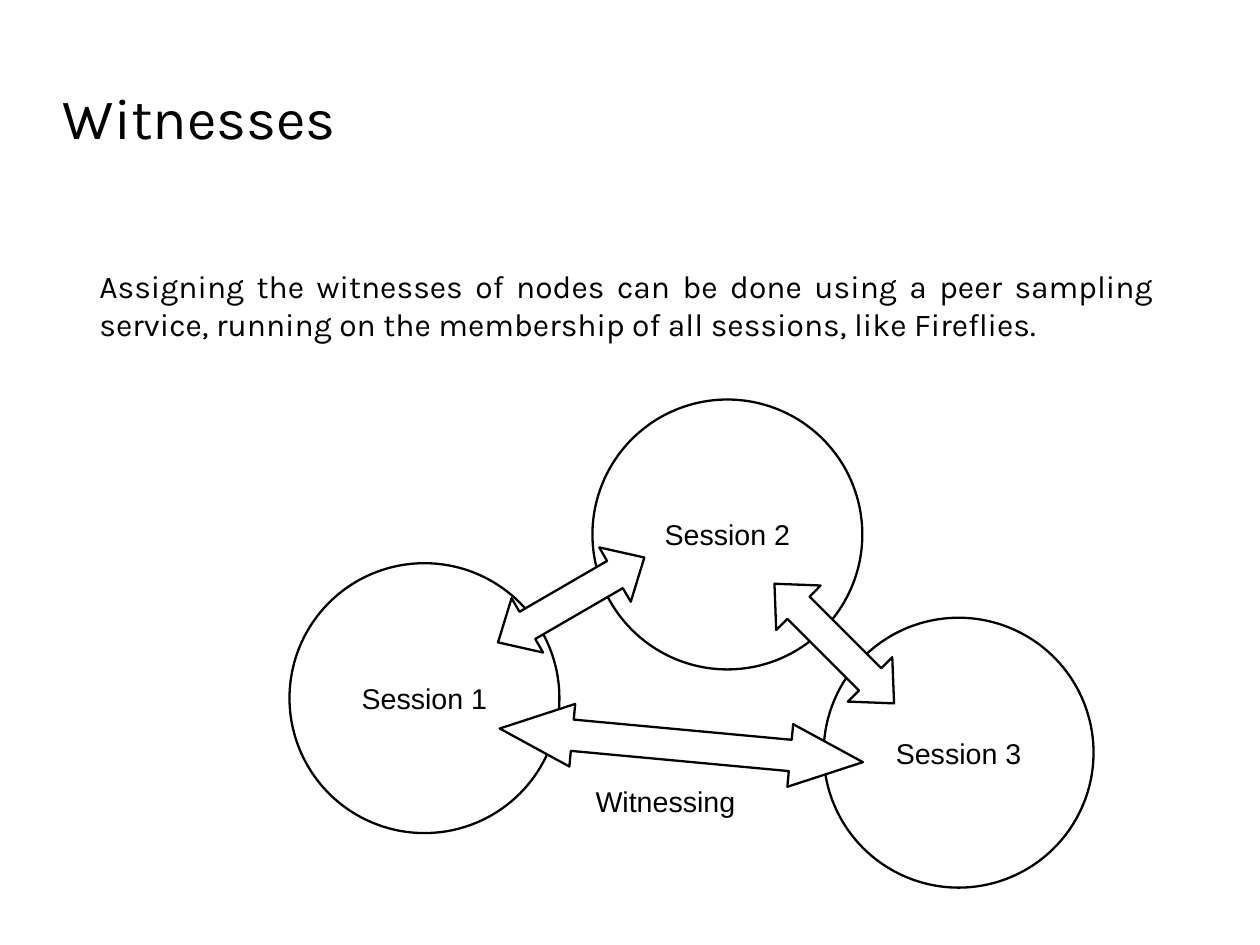
"""Build a slide on witnesses shared between three sessions."""
from pptx import Presentation
from pptx.dml.color import RGBColor
from pptx.enum.shapes import MSO_SHAPE
from pptx.enum.text import MSO_ANCHOR, PP_ALIGN
from pptx.util import Cm, Inches, Pt

WIDTH, HEIGHT = Cm(28), Cm(21)
BLACK, WHITE = "000000", "FFFFFF"
CIRCLE_SIZE = (21.42, 28.56)
ARROW_HEIGHT = 6.65
SESSIONS = [("Session 1", 22.98, 59.6), ("Session 2", 47.02, 42.28), ("Session 3", 65.37, 65.37)]
ARROWS = [
    (38.62, 60.16, 13.43, 329.9, 0.54),
    (39.6, 75.55, 28.95, 5.3, 1.16),
    (59.5, 64.78, 13.43, 45, 0.54),
]


def color(value):
    """Turn a hex string into a colour."""
    return RGBColor.from_string(value)


def area(left, top, width, height):
    """Turn percentages of the slide into lengths."""
    return [round(share * side / 100)
            for share, side in zip((left, top, width, height), (WIDTH, HEIGHT) * 2)]


def write(frame, text, font, size, align=PP_ALIGN.LEFT, anchor=MSO_ANCHOR.TOP,
          wrap=True, inset=(0, 0)):
    """Write one formatted paragraph into a text frame."""
    frame.word_wrap = wrap
    frame.vertical_anchor = anchor
    frame.margin_left = frame.margin_right = Inches(inset[0])
    frame.margin_top = frame.margin_bottom = Inches(inset[1])
    para = frame.paragraphs[0]
    para.alignment = align
    span = para.add_run()
    span.text = text
    span.font.name = font
    span.font.size = Pt(size)
    span.font.color.rgb = color(BLACK)


def add_text(page, place, text, font, size, **layout):
    """Add a text box."""
    box = page.shapes.add_textbox(*area(*place))
    write(box.text_frame, text, font, size, **layout)


def add_outlined(page, kind, place):
    """Add a white shape with a black outline."""
    shape = page.shapes.add_shape(kind, *area(*place))
    shape.shadow.inherit = False
    shape.fill.solid()
    shape.fill.fore_color.rgb = color(WHITE)
    shape.line.color.rgb = color(BLACK)
    shape.line.width = Pt(1.45)
    return shape


def add_session(page, name, left, top):
    """Add a session circle with its name."""
    circle = add_outlined(page, MSO_SHAPE.OVAL, (left, top, *CIRCLE_SIZE))
    write(circle.text_frame, name, "Arial", 18, align=PP_ALIGN.CENTER,
          anchor=MSO_ANCHOR.MIDDLE, wrap=False, inset=(0.11, 0.06))


def add_arrow(page, left, top, width, angle, head):
    """Add a turned double arrow between two sessions."""
    arrow = add_outlined(page, MSO_SHAPE.LEFT_RIGHT_ARROW, (left, top, width, ARROW_HEIGHT))
    arrow.rotation = angle
    arrow.adjustments[0] = 0.5
    arrow.adjustments[1] = head


def main():
    """Build and save the deck."""
    deck = Presentation()
    deck.slide_width, deck.slide_height = WIDTH, HEIGHT
    page = deck.slides.add_slide(deck.slide_layouts[6])
    add_text(page, (5, 4, 90, 16.7), "Witnesses", "Karla", 36, anchor=MSO_ANCHOR.MIDDLE)
    add_text(page, (7.89, 28.2, 83.7, 66.5),
             "Assigning the witnesses of nodes can be done using a peer sampling service, "
             "running on the membership of all sessions, like Fireflies.",
             "Karla", 20, align=PP_ALIGN.JUSTIFY)
    for session in SESSIONS:
        add_session(page, *session)
    for arrow in ARROWS:
        add_arrow(page, *arrow)
    add_text(page, (46.37, 82.4, 17.06, 4.6), "Witnessing", "Arial", 18, inset=(0.1, 0.05))
    deck.save("out.pptx")


if __name__ == "__main__":
    main()
